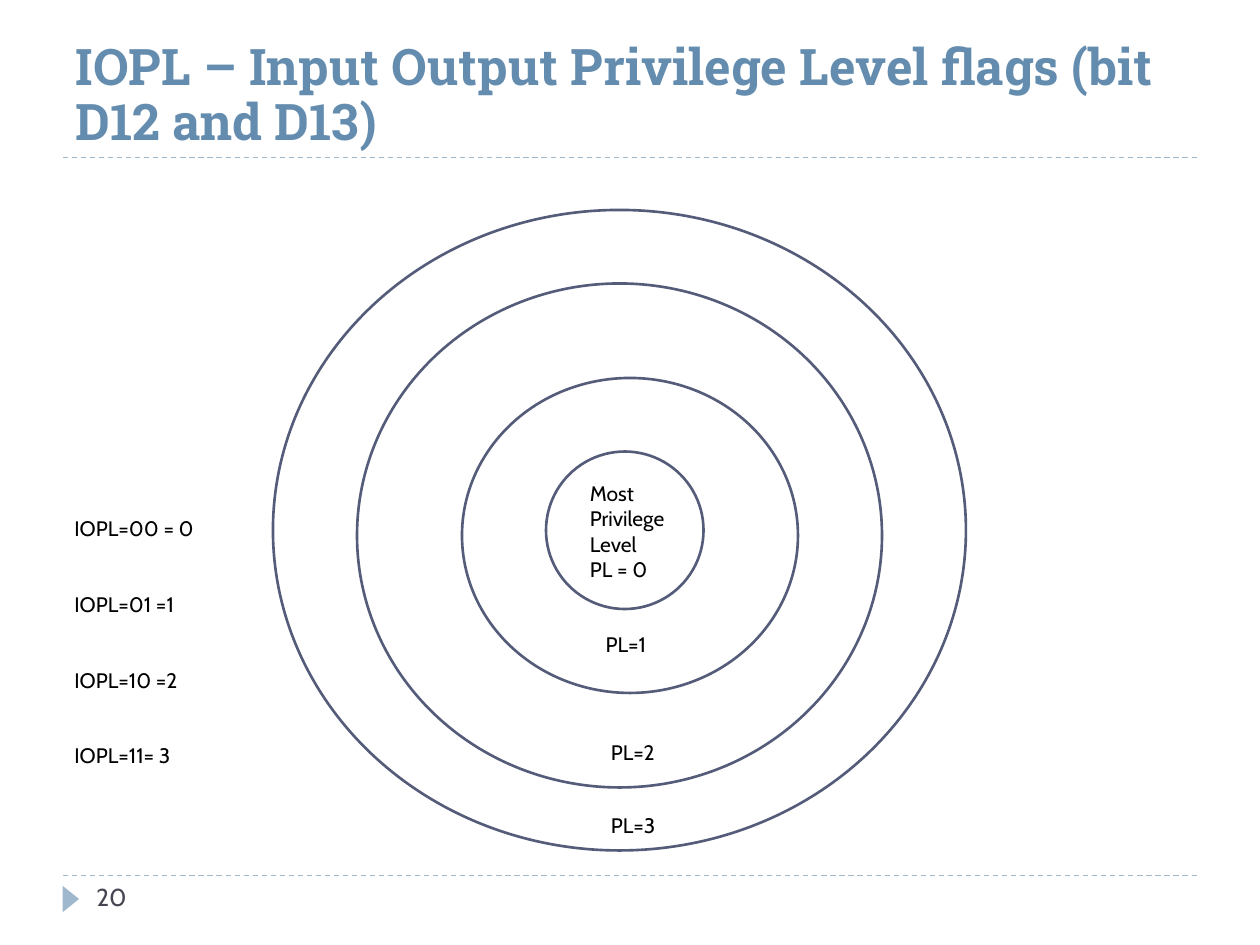
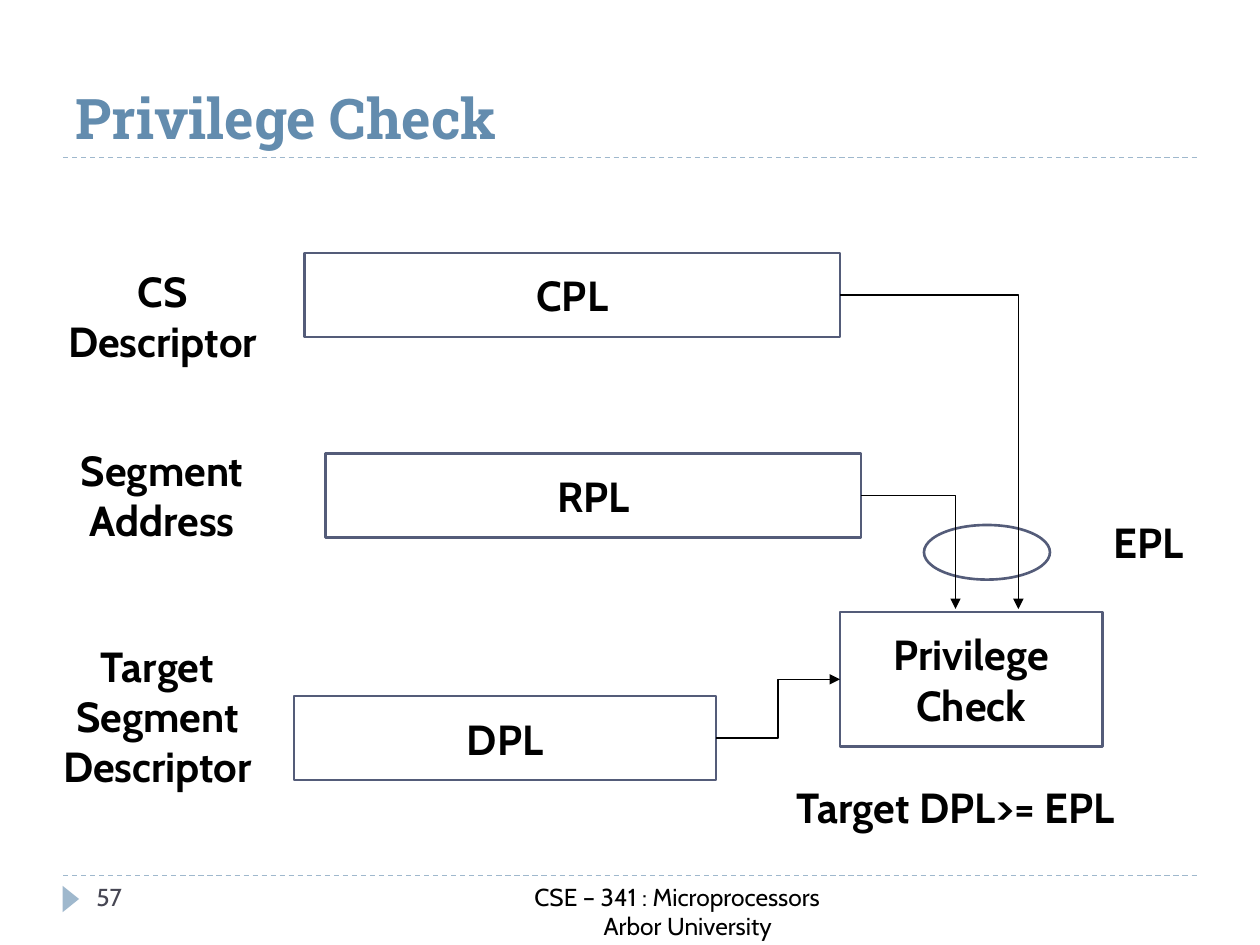
import dataclasses

import pptx
import pptx.dml.color
import pptx.enum.dml
import pptx.enum.shapes
import pptx.enum.text
import pptx.oxml.ns
import pptx.util
import lxml.etree

SHAPE = pptx.enum.shapes.MSO_SHAPE
CONNECTOR = pptx.enum.shapes.MSO_CONNECTOR
ALIGN = pptx.enum.text.PP_ALIGN
ANCHOR = pptx.enum.text.MSO_ANCHOR
COLUMNS, ROWS = 120, 90


def colour(code):
    return pptx.dml.color.RGBColor.from_string(code)


def text_style(face, size, ink, bold=False, align=ALIGN.LEFT, anchor=ANCHOR.TOP):
    return {
        "font": {"name": face, "size": pptx.util.Pt(size), "bold": bold},
        "ink": {"rgb": colour(ink)},
        "paragraph": {"alignment": align},
        "frame": {"vertical_anchor": anchor, "word_wrap": True,
                  "auto_size": pptx.enum.text.MSO_AUTO_SIZE.NONE},
    }


@dataclasses.dataclass(frozen=True)
class Theme:
    rule: str = "9FB8CD"
    outline: str = "545C79"
    ink: str = "000000"
    heading: str = "638CAE"
    page_ink: str = "464653"
    heading_face: str = "Roboto Slab"
    text_face: str = "Cabin"
    heading_size: float = 32
    long_heading_size: float = 28.8
    diagram_size: float = 24
    footer_size: float = 14
    note_size: float = 12
    rule_width: float = 0.75
    outline_width: float = 1.5

    def title(self, size):
        return text_style(self.heading_face, size, self.heading, True, anchor=ANCHOR.BOTTOM)

    def note(self):
        return text_style(self.text_face, self.note_size, self.ink)

    def diagram(self):
        return text_style(self.text_face, self.diagram_size, self.ink, True,
                          ALIGN.CENTER, ANCHOR.MIDDLE)

    def page(self):
        return text_style(self.text_face, self.footer_size, self.page_ink)

    def footer(self):
        return text_style(self.text_face, self.footer_size, self.ink, align=ALIGN.CENTER)


def assign(target, values):
    for name, value in values.items():
        setattr(target, name, value)


class Deck:
    def __init__(self, theme):
        self.theme = theme
        self.presentation = pptx.Presentation()
        assign(self.presentation, {"slide_width": pptx.util.Inches(10),
                                   "slide_height": pptx.util.Inches(7.5)})
        self.slide = None

    def x(self, columns):
        return round(self.presentation.slide_width * columns / COLUMNS)

    def y(self, rows):
        return round(self.presentation.slide_height * rows / ROWS)

    def area(self, left, top, width, height):
        return self.x(left), self.y(top), self.x(width), self.y(height)

    def set_text(self, holder, lines, style, spacing=None):
        frame = holder.text_frame
        frame.text = "\n".join(lines)
        assign(frame, style["frame"])
        for paragraph in frame.paragraphs:
            assign(paragraph, {**style["paragraph"], **(spacing or {})})
            for run in paragraph.runs:
                assign(run.font, style["font"])
                assign(run.font.color, style["ink"])
        return frame

    def place(self, holder, area):
        assign(holder, dict(zip(("left", "top", "width", "height"), self.area(*area))))

    def start(self, heading, page, size, layout, spacing=1.0):
        layouts = self.presentation.slide_layouts
        self.slide = self.presentation.slides.add_slide(layouts.get_by_name(layout))
        for row in (15, 83.4):
            self.line((6, row), (114, row), CONNECTOR.STRAIGHT, self.theme.rule,
                      dash_style=pptx.enum.dml.MSO_LINE.DASH)
        marker = self.shape(SHAPE.ISOSCELES_TRIANGLE, (5.5, 84.84, 2.5, 1.56), fill=self.theme.rule)
        marker.rotation = 90
        title = self.slide.shapes.title
        self.place(title, (6, 2, 108, 13))
        self.set_text(title, [heading], self.theme.title(size), {"line_spacing": spacing})
        self.text([page], (8, 83.4, 26, 4.8), self.theme.page())

    def text(self, lines, area, style):
        return self.set_text(self.slide.shapes.add_textbox(*self.area(*area)), lines, style)

    def listing(self, lines, area, style, gap):
        body = self.slide.placeholders[1]
        self.place(body, area)
        frame = self.set_text(body, lines, style, {"space_before": pptx.util.Pt(0),
                                                   "space_after": pptx.util.Pt(gap)})
        for paragraph in frame.paragraphs:
            properties = paragraph._p.get_or_add_pPr()
            properties.set("marL", "0")
            properties.set("indent", "0")
            lxml.etree.SubElement(properties, pptx.oxml.ns.qn("a:buNone"))

    def shape(self, kind, area, label=None, fill=None):
        figure = self.slide.shapes.add_shape(kind, *self.area(*area))
        figure.shadow.inherit = False
        if fill:
            figure.fill.solid()
            figure.fill.fore_color.rgb = colour(fill)
            figure.line.fill.background()
        else:
            figure.fill.background()
            figure.line.color.rgb = colour(self.theme.outline)
            figure.line.width = pptx.util.Pt(self.theme.outline_width)
        if label:
            self.set_text(figure, [label], self.theme.diagram())
        return figure

    def line(self, begin, end, kind, ink, **formats):
        link = self.slide.shapes.add_connector(
            kind, self.x(begin[0]), self.y(begin[1]), self.x(end[0]), self.y(end[1]))
        link.line.color.rgb = colour(ink)
        assign(link.line, {"width": pptx.util.Pt(self.theme.rule_width), **formats})
        lxml.etree.SubElement(link._element.spPr, pptx.oxml.ns.qn("a:effectLst"))
        return link

    def arrow(self, begin, end, bend):
        link = self.line(begin, end, CONNECTOR.ELBOW, self.theme.ink)
        properties = link._element.spPr
        properties.find(pptx.oxml.ns.qn("a:prstGeom")).set("prst", bend)
        outline = properties.find(pptx.oxml.ns.qn("a:ln"))
        head = lxml.etree.SubElement(outline, pptx.oxml.ns.qn("a:tailEnd"))
        head.set("type", "triangle")


def privilege_rings(deck):
    theme = deck.theme
    deck.start("IOPL – Input Output Privilege Level flags (bit D12 and D13)", "20",
               theme.long_heading_size, "Title and Content", 0.9)
    for ring in ((34, 27, 50, 48), (26, 20, 66, 61), (44, 36, 32, 30), (52, 43, 15, 15)):
        deck.shape(SHAPE.OVAL, ring)
    deck.text(["Most Privilege", "Level", "PL = 0"], (55, 45.2, 10, 11), theme.note())
    for level, left, top in ((3, 57, 76.8), (2, 57, 69.8), (1, 56.5, 59.6)):
        deck.text([f"PL={level}"], (left, top, 10, 3.6), theme.note())
    deck.listing(["IOPL=00 = 0", "IOPL=01 =1", "IOPL=10 =2", "IOPL=11= 3"],
                 (5.88, 48.5, 14.2, 28), theme.note(), 28.9)


def privilege_check(deck):
    theme = deck.theme
    deck.start("Privilege Check", "57", theme.heading_size, "Title Only")
    footer = deck.text(["CSE – 341 : Microprocessors", "Arbor University"],
                       (24, 83.4, 81, 4.8), theme.footer())
    footer.paragraphs[1]._p.get_or_add_pPr().set("marL", str(deck.x(2)))
    for name, area in (("Privilege Check", (80, 58.3, 25, 12.8)),
                       ("CPL", (29, 24.1, 51, 8)),
                       ("RPL", (31, 43.2, 51, 8)),
                       ("DPL", (28, 66.3, 40.2, 8))):
        deck.shape(SHAPE.RECTANGLE, area, name)
    deck.shape(SHAPE.OVAL, (88, 50, 12, 5.2))
    for begin, end, bend in (((80, 28.1), (97, 58), "bentConnector2"),
                             ((82, 47.2), (91, 58), "bentConnector2"),
                             ((68.2, 70.3), (80, 64.7), "bentConnector3")):
        deck.arrow(begin, end, bend)
    for caption, area in ((["EPL"], (103, 47.6, 12.7, 8)),
                          (["Segment Address"], (4.9, 43.1, 21.1, 8)),
                          (["Target Segment", "Descriptor"], (2.5, 63.4, 25, 9.5)),
                          (["CS Descriptor"], (3, 25.3, 25, 9.5)),
                          (["Target DPL>= EPL"], (70, 72.1, 42, 9.5))):
        deck.text(caption, area, theme.diagram())


def main():
    deck = Deck(Theme())
    privilege_rings(deck)
    privilege_check(deck)
    deck.presentation.save("out.pptx")


if __name__ == "__main__":
    main()
